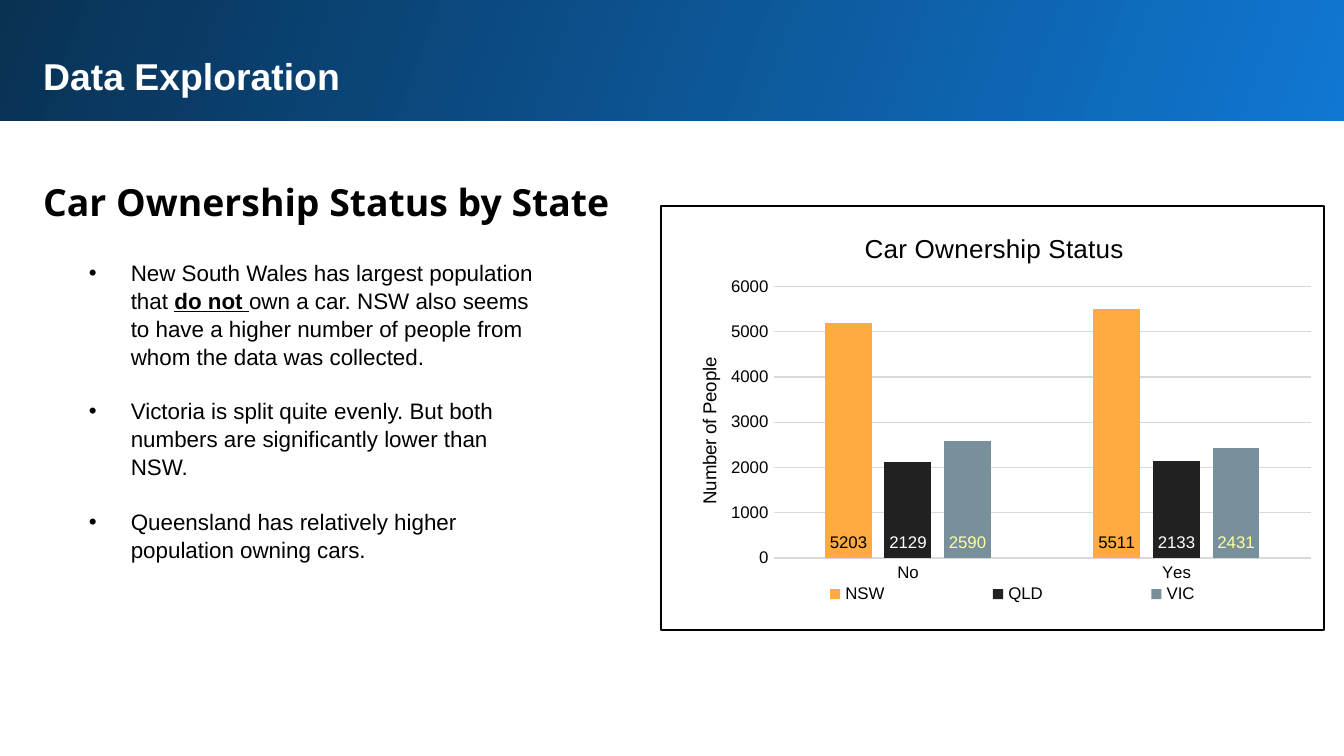
"""Build the car ownership data exploration slide."""
from lxml import etree
from pptx import Presentation
from pptx.chart.data import CategoryChartData
from pptx.dml.color import RGBColor
from pptx.enum.chart import XL_CHART_TYPE, XL_LABEL_POSITION, XL_LEGEND_POSITION, XL_TICK_MARK
from pptx.enum.shapes import MSO_SHAPE
from pptx.oxml import parse_xml
from pptx.oxml.ns import nsdecls, qn
from pptx.util import Pt

COLUMNS = XL_CHART_TYPE.COLUMN_CLUSTERED
INSIDE_BASE = XL_LABEL_POSITION.INSIDE_BASE
BOTTOM = XL_LEGEND_POSITION.BOTTOM
NO_TICK = XL_TICK_MARK.NONE
RECT = MSO_SHAPE.RECTANGLE

C = {"black": "000000", "white": "FFFFFF", "light blue": "1077D2", "navy": "093153",
     "grid": "D9D9D9", "orange": "FFAB40", "charcoal": "212121", "slate": "78909C",
     "yellow": "FFFF99"}

TITLE = "Data Exploration"
HEADING = "Car Ownership Status by State"
BULLETS = [
    [("New South Wales has largest population that ", False), ("do not ", True),
     ("own a car. NSW also seems to have a higher number of people from whom "
      "the data was collected.", False)],
    [("Victoria is split quite evenly. But both numbers are significantly lower than NSW.", False)],
    [("Queensland has relatively higher population owning cars.", False)],
]
CHART_TITLE = "Car Ownership Status"
AXIS_TITLE = "Number of People"
ANSWERS = ["No", "Yes"]
STATES = [
    ("NSW", [5203, 5511], "orange", "black"),
    ("QLD", [2129, 2133], "charcoal", "white"),
    ("VIC", [2590, 2431], "slate", "yellow"),
]


def rgb(name):
    return RGBColor.from_string(C[name])


def style(font, size, color="black", bold=False, name="Arial"):
    font.size, font.bold, font.name = Pt(size), bold, name
    font.color.rgb = rgb(color)


def add_text(s, paragraphs, box, size=12, color="black", bold=False, font="Arial",
             inset=7.2, spacing=1.0, gap=0, indent=0):
    tf = s.shapes.add_textbox(*map(Pt, box)).text_frame
    tf.word_wrap = True
    tf.margin_left = tf.margin_right = tf.margin_top = tf.margin_bottom = Pt(inset)
    for i, runs in enumerate(paragraphs):
        p = tf.add_paragraph() if i else tf.paragraphs[0]
        p.line_spacing = spacing
        p.space_before = Pt(gap if i else 0)
        if indent:
            pPr = p._p.get_or_add_pPr()
            pPr.set("marL", str(Pt(indent)))
            pPr.set("indent", str(-Pt(indent)))
            etree.SubElement(pPr, qn("a:buFont")).set("typeface", "Arial")
            etree.SubElement(pPr, qn("a:buChar")).set("char", "•")
        for text, strong in runs:
            r = p.add_run()
            r.text = text
            style(r.font, size, color, bold or strong, font)
            r.font.underline = strong


def place(element, index, inner=False, **fractions):
    for old in element.findall(qn("c:layout")):
        element.remove(old)
    layout = etree.Element(qn("c:layout"))
    manual = etree.SubElement(layout, qn("c:manualLayout"))
    settings = [("layoutTarget", "inner")] if inner else []
    settings += [("xMode", "edge"), ("yMode", "edge"), *fractions.items()]
    for tag, value in settings:
        etree.SubElement(manual, qn("c:" + tag)).set("val", str(value))
    element.insert(index, layout)


def add_title(owner, text, size, x, y):
    title = owner.chart_title if hasattr(owner, "chart_title") else owner.axis_title
    tf = title.text_frame
    tf.text = text
    style(tf.paragraphs[0].runs[0].font, size)
    place(title._element, 1, x=x, y=y)


def add_columns(s, box):
    data = CategoryChartData()
    data.categories = ANSWERS
    for name, values, _, _ in STATES:
        data.add_series(name, values)
    chart = s.shapes.add_chart(COLUMNS, *map(Pt, box), data).chart
    style(chart.font, 10)
    add_title(chart, CHART_TITLE, 14, 0.3, 0.05)
    add_title(chart.value_axis, AXIS_TITLE, 10, 0.05, 0.35)

    chart.has_legend = True
    chart.legend.position = BOTTOM
    chart.legend.include_in_layout = False
    style(chart.legend.font, 9)
    place(chart.legend._element, 1, x=0.1, y=0.88, w=0.86, h=0.07)

    for axis in (chart.category_axis, chart.value_axis):
        axis.major_tick_mark = axis.minor_tick_mark = NO_TICK
        style(axis.tick_labels.font, 9)
    value_axis = chart.value_axis
    value_axis.minimum_scale, value_axis.maximum_scale, value_axis.major_unit = 0, 6000, 1000
    value_axis.format.line.fill.background()
    for line in (chart.category_axis.format.line, value_axis.major_gridlines.format.line):
        line.color.rgb = rgb("grid")
        line.width = Pt(0.75)

    plot = chart.plots[0]
    plot.gap_width, plot.overlap, plot.vary_by_categories = 219, -27, False
    for series, (_, _, fill, label) in zip(plot.series, STATES):
        series.format.fill.solid()
        series.format.fill.fore_color.rgb = rgb(fill)
        labels = series.data_labels
        labels.show_value = True
        labels.position = INSIDE_BASE
        style(labels.font, 9, label)

    frame = chart._chartSpace.find(qn("c:chart"))
    place(frame.find(qn("c:plotArea")), 0, inner=True, x=0.17, y=0.19, w=0.81, h=0.64)
    frame.addnext(parse_xml(
        f'<c:spPr {nsdecls("c", "a")}><a:noFill/><a:ln w="{Pt(0.75)}"><a:solidFill>'
        f'<a:srgbClr val="{C["black"]}"/></a:solidFill></a:ln></c:spPr>'))


def add_banner(s, box):
    sp = s.shapes.add_shape(RECT, *map(Pt, box))
    sp.shadow.inherit = False
    sp.line.fill.background()
    sp.fill.gradient()
    sp.fill.gradient_angle = 160
    for stop, position, color in zip(sp.fill.gradient_stops, (0, 1), ("light blue", "navy")):
        stop.position = position
        stop.color.rgb = rgb(color)


def main():
    prs = Presentation()
    prs.slide_width, prs.slide_height = Pt(720), Pt(405)
    s = prs.slides.add_slide(prs.slide_layouts[6])
    add_banner(s, (-1.5, -1.5, 723, 66.3))
    add_text(s, [[(TITLE, False)]], (16, 21, 675, 37), size=20, color="white", bold=True)
    add_text(s, [[(HEADING, False)]], (16, 85, 675, 40), size=20, bold=True,
             font="Open Sans", spacing=1.15)
    add_columns(s, (353.7, 110, 356, 228))
    add_text(s, BULLETS, (44, 134.6, 252, 201), inset=3.6, spacing=1.04, gap=14.4, indent=22.5)
    prs.save("out.pptx")


if __name__ == "__main__":
    main()
